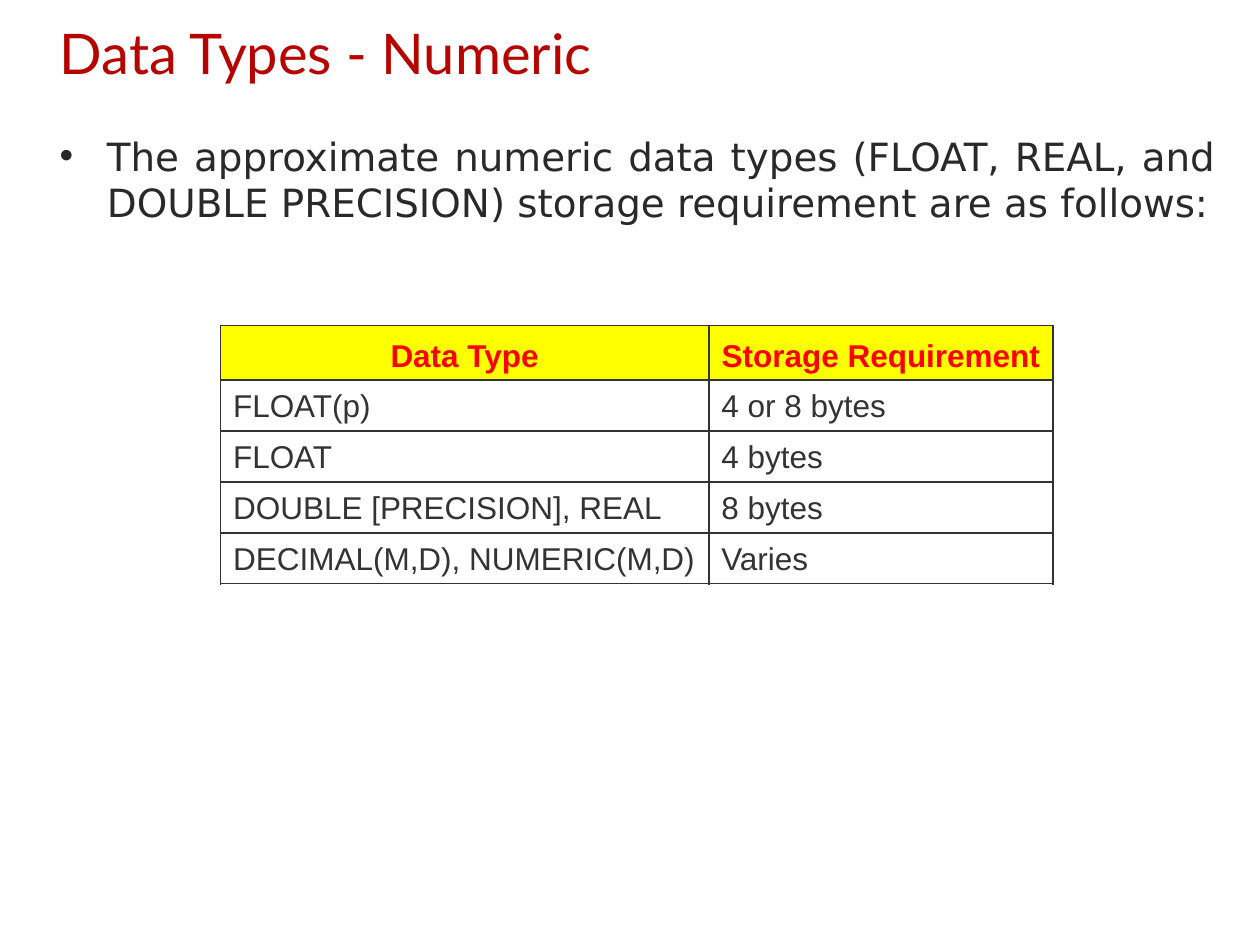
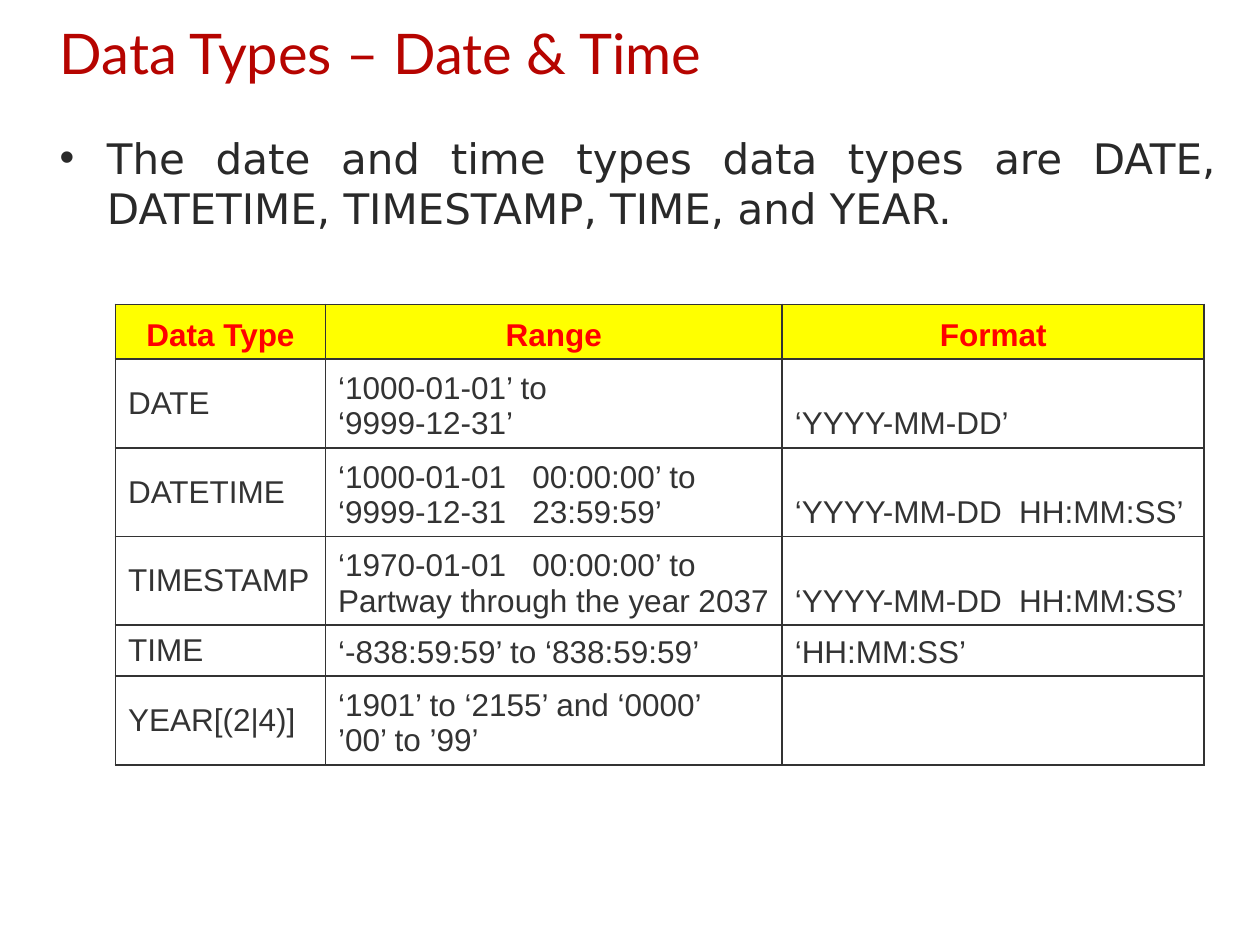
from lxml.etree import SubElement
from pptx import Presentation
from pptx.dml.color import RGBColor
from pptx.enum.text import MSO_ANCHOR, MSO_AUTO_SIZE, PP_ALIGN
from pptx.oxml.ns import qn
from pptx.util import Inches, Pt

UNIT = Inches(10) // 240  # the slide is a grid of 240 columns and 180 rows
TITLE_RED, BODY_INK, CELL_INK = "B60400", "292929", "333333"
HEADER_RED, HEADER_YELLOW = "FF0000", "FFFF00"
HEADER_ROW, ONE_LINE_ROW, TWO_LINE_ROW = 10.4, 9.7, 16.9

TOPICS = [
    {
        "title": "Data Types - Numeric",
        "statement": "The approximate numeric data types (FLOAT, REAL, and DOUBLE PRECISION) "
                     "storage requirement are as follows:",
        "statement_size": 22.2,
        "statement_rows": 30,
        "corner": (42, 62),
        "columns": [93, 65.6],
        "first_column_anchor": MSO_ANCHOR.BOTTOM,
        "rows": [
            ["Data Type", "Storage Requirement"],
            ["FLOAT(p)", "4 or 8 bytes"],
            ["FLOAT", "4 bytes"],
            ["DOUBLE [PRECISION], REAL", "8 bytes"],
            ["DECIMAL(M,D), NUMERIC(M,D)", "Varies"],
        ],
    },
    {
        "title": "Data Types – Date & Time",
        "statement": "The date and time types data types are DATE, DATETIME, TIMESTAMP, "
                     "TIME, and YEAR.",
        "statement_size": 24,
        "statement_rows": 26,
        "corner": (22, 58),
        "columns": [40, 87, 80.4],
        "first_column_anchor": MSO_ANCHOR.MIDDLE,
        "rows": [
            ["Data Type", "Range", "Format"],
            ["DATE", "‘1000-01-01’ to\n‘9999-12-31’", "‘YYYY-MM-DD’"],
            ["DATETIME", "‘1000-01-01   00:00:00’ to\n‘9999-12-31   23:59:59’",
             "‘YYYY-MM-DD  HH:MM:SS’"],
            ["TIMESTAMP", "‘1970-01-01   00:00:00’ to\nPartway through the year 2037",
             "‘YYYY-MM-DD  HH:MM:SS’"],
            ["TIME", "‘-838:59:59’ to ‘838:59:59’", "‘HH:MM:SS’"],
            ["YEAR[(2|4)]", "‘1901’ to ‘2155’ and ‘0000’\n’00’ to ’99’", ""],
        ],
    },
]


def grid(*cells):
    return [int(cell * UNIT) for cell in cells]


def format_text(text_frame, font_name, size, color, align, bold=False, hanging=True):
    for paragraph in text_frame.paragraphs:
        paragraph.alignment = align
        if hanging:
            properties = paragraph._p.get_or_add_pPr()
            properties.set("marL", str(9 * UNIT))
            properties.set("indent", str(-9 * UNIT))
        for run in paragraph.runs:
            run.font.name = font_name
            run.font.size = Pt(size)
            run.font.bold = bold
            run.font.color.rgb = RGBColor.from_string(color)


deck = Presentation()
deck.slide_width, deck.slide_height = grid(240, 180)

for topic in TOPICS:
    slide = deck.slides.add_slide(deck.slide_layouts[5])

    title = slide.shapes.title
    title.left, title.top, title.width, title.height = grid(9, 0, 222, 20)
    title.text_frame.text = topic["title"]
    title.text_frame.auto_size = MSO_AUTO_SIZE.NONE
    title.text_frame.vertical_anchor = MSO_ANCHOR.MIDDLE
    format_text(title.text_frame, "Lato", 32, TITLE_RED, PP_ALIGN.LEFT, hanging=False)

    statement = slide.shapes.add_textbox(*grid(9, 24, 225, topic["statement_rows"])).text_frame
    statement.word_wrap = True
    statement.text = topic["statement"]
    format_text(statement, "DejaVu Sans", topic["statement_size"], BODY_INK, PP_ALIGN.JUSTIFY)
    bulleted = statement.paragraphs[0]
    bulleted.space_before = Pt(6)
    bullet_properties = bulleted._p.get_or_add_pPr()
    bullet_color = SubElement(bullet_properties, qn("a:buClr"))
    SubElement(bullet_color, qn("a:srgbClr"), val=BODY_INK)
    SubElement(bullet_properties, qn("a:buFont"), typeface="Arial")
    SubElement(bullet_properties, qn("a:buChar"), char="•")

    rows, columns = topic["rows"], topic["columns"]
    heights = [HEADER_ROW] + [
        TWO_LINE_ROW if any("\n" in entry for entry in row) else ONE_LINE_ROW for row in rows[1:]
    ]
    types_table = slide.shapes.add_table(
        len(rows), len(columns), *grid(*topic["corner"], sum(columns), sum(heights))
    ).table
    types_table.horz_banding = False
    for column, width in zip(types_table.columns, grid(*columns)):
        column.width = width
    for table_row, height in zip(types_table.rows, grid(*heights)):
        table_row.height = height

    for row_index, row in enumerate(rows):
        is_header = row_index == 0
        for column_index, entry in enumerate(row):
            cell = types_table.cell(row_index, column_index)
            cell.text_frame.text = entry
            cell.vertical_anchor = (
                topic["first_column_anchor"] if column_index == 0 and not is_header
                else MSO_ANCHOR.BOTTOM
            )
            format_text(
                cell.text_frame, "Arial", 18,
                HEADER_RED if is_header else CELL_INK,
                PP_ALIGN.CENTER if is_header else PP_ALIGN.LEFT,
                bold=is_header,
            )
            for side in ("lnL", "lnR", "lnT", "lnB"):
                border = SubElement(cell._tc.get_or_add_tcPr(), qn(f"a:{side}"), w=str(Pt(1.08)))
                border_fill = SubElement(border, qn("a:solidFill"))
                SubElement(border_fill, qn("a:srgbClr"), val=CELL_INK)
            if is_header:
                cell.fill.solid()
                cell.fill.fore_color.rgb = RGBColor.from_string(HEADER_YELLOW)
            else:
                cell.fill.background()

deck.save("out.pptx")
